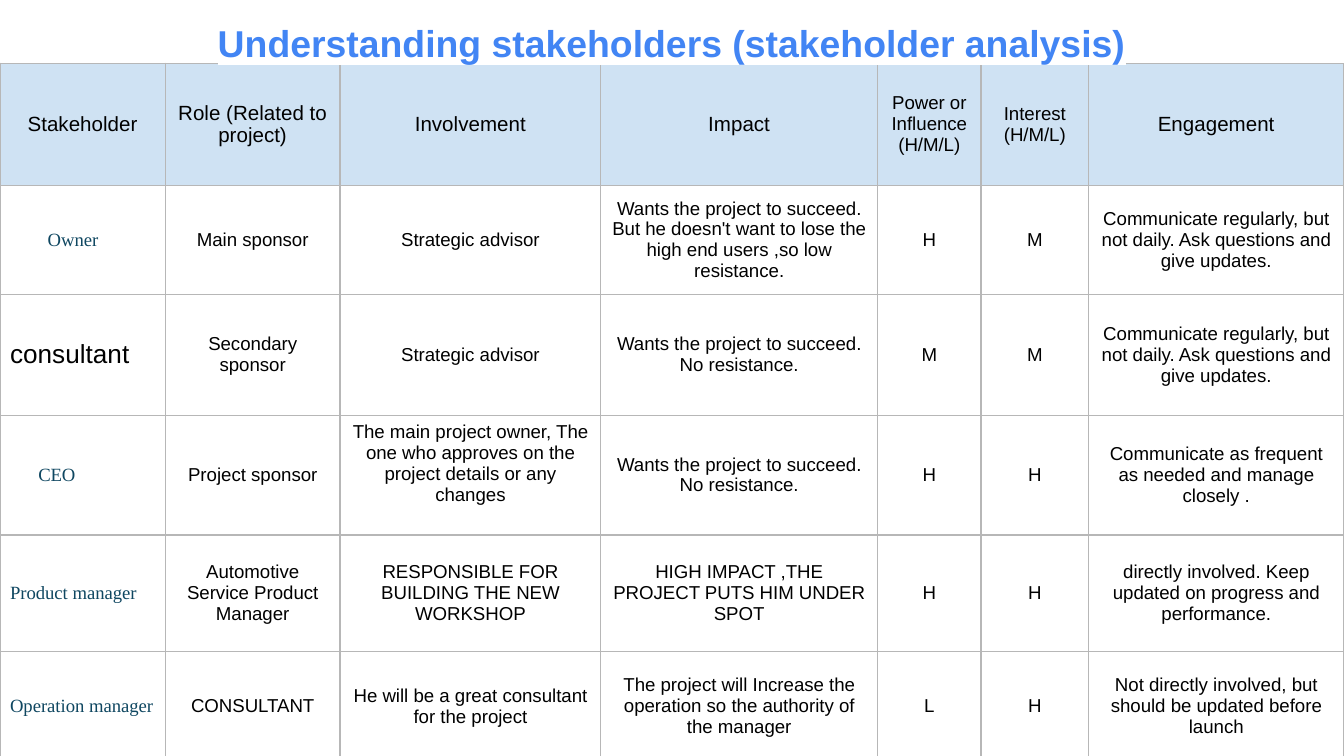
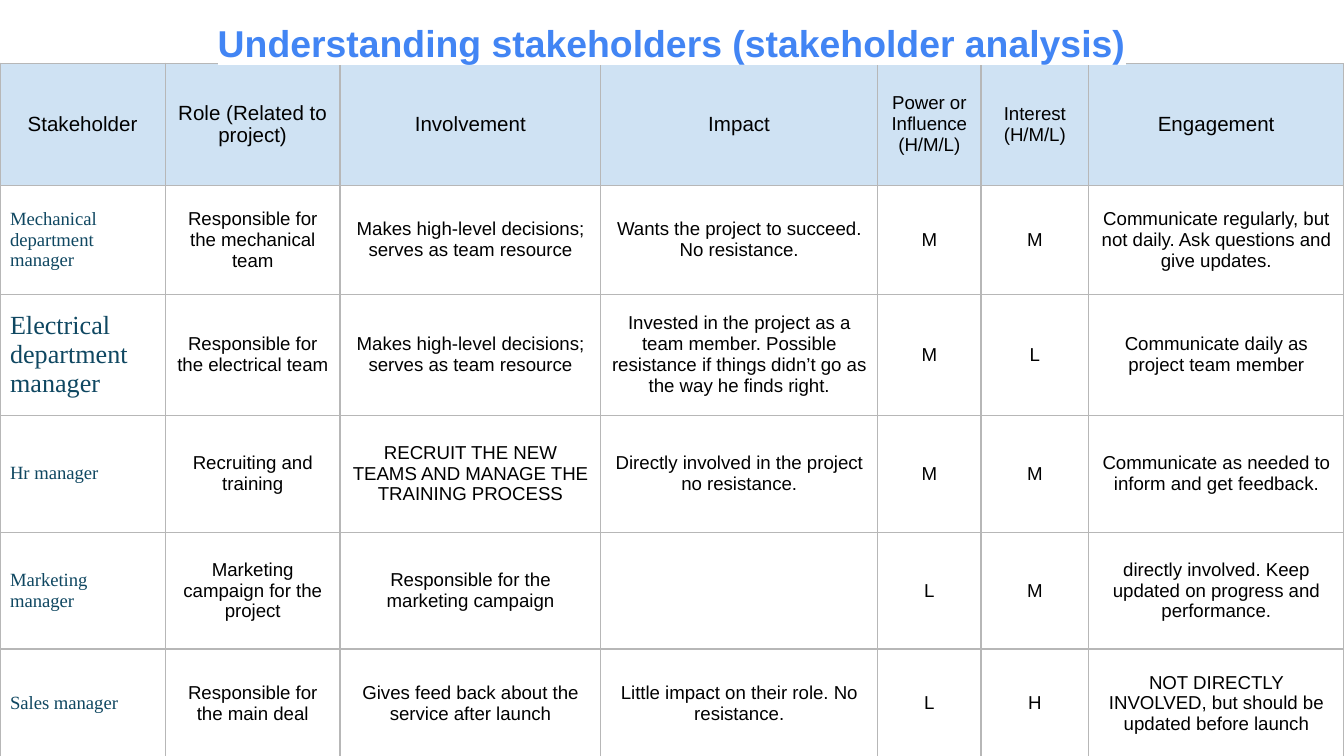
"""Build two slides of stakeholder analysis tables."""
from dataclasses import dataclass

from lxml import etree
from pptx import Presentation
from pptx.dml.color import RGBColor
from pptx.enum.text import MSO_ANCHOR, MSO_AUTO_SIZE, PP_ALIGN
from pptx.oxml.ns import qn
from pptx.util import Inches, Pt

LEFT, CENTER = PP_ALIGN.LEFT, PP_ALIGN.CENTER
TOP, MIDDLE = MSO_ANCHOR.TOP, MSO_ANCHOR.MIDDLE
GROW = MSO_AUTO_SIZE.SHAPE_TO_FIT_TEXT


@dataclass(frozen=True)
class Theme:
    title: str = "4285F4"
    paper: str = "FFFFFF"
    ink: str = "000000"
    name: str = "0F4761"
    header: str = "CFE2F3"
    border: str = "B7B7B7"
    sans: str = "Arial"
    serif: str = "Times New Roman"
    title_size: int = 20
    large_size: int = 14
    header_size: int = 11
    body_size: int = 10
    border_width: float = 0.75


THEME = Theme()
SLIDE_WIDTH = Inches(10)
SLIDE_HEIGHT = SLIDE_WIDTH * 9 // 16
TITLE = "Understanding stakeholders (stakeholder analysis)"
HEADERS = ["Stakeholder", "Role (Related to project)", "Involvement", "Impact",
           "Power or Influence (H/M/L)", "Interest (H/M/L)", "Engagement"]
COLUMN_WIDTHS = [1.23, 1.3, 1.94, 2.06, 0.77, 0.8, 1.9]
ROW_HEIGHTS = [0.91, 0.81, 0.9, 0.87, 0.87, 0.81]
TABLE_TOP = 0.47
CELL_SIDE, CELL_EDGE = Pt(5.4), Inches(0.05)
RATING_COLUMNS = (4, 5)

SUCCEED = "Wants the project to succeed. No resistance."
REGULARLY = "Communicate regularly, but not daily. Ask questions and give updates."
DECISIONS = "Makes high-level decisions; serves as team resource"
INVOLVED = "directly involved. Keep updated on progress and performance."
OWNER_DUTY = ("The main project owner, The one who approves on the project "
              "details or any changes")

SLIDES = [
    [
        ("Owner", "Main sponsor", "Strategic advisor",
         "Wants the project to succeed. But he doesn't want to lose the high end "
         "users ,so low resistance.", "H", "M", REGULARLY),
        ("consultant", "Secondary sponsor", "Strategic advisor", SUCCEED,
         "M", "M", REGULARLY),
        ("CEO", "Project sponsor", OWNER_DUTY, SUCCEED, "H", "H",
         "Communicate as frequent as needed and manage closely ."),
        ("Product manager", "Automotive Service Product Manager",
         "RESPONSIBLE FOR BUILDING THE NEW WORKSHOP",
         "HIGH IMPACT ,THE PROJECT PUTS HIM UNDER SPOT", "H", "H", INVOLVED),
        ("Operation manager", "CONSULTANT",
         "He will be a great consultant for the project",
         "The project will Increase the operation so the authority of the manager",
         "L", "H", "Not directly involved, but should be updated before launch"),
    ],
    [
        ("Mechanical department manager", "Responsible for the mechanical team",
         DECISIONS, SUCCEED, "M", "M", REGULARLY),
        ("Electrical department manager", "Responsible for the electrical team",
         DECISIONS,
         "Invested in the project as a team member. Possible resistance if things "
         "didn’t go as the way he finds right.", "M", "L",
         "Communicate daily as project team member"),
        ("Hr manager", "Recruiting and training",
         "RECRUIT THE NEW TEAMS AND MANAGE THE TRAINING PROCESS",
         "Directly involved in the project no resistance.", "M", "M",
         "Communicate as needed to inform and get feedback."),
        ("Marketing manager", "Marketing campaign for the project",
         "Responsible for the marketing campaign", "", "L", "M", INVOLVED),
        ("Sales manager", "Responsible for the main deal",
         "Gives feed back about the service after launch",
         "Little impact on their role. No resistance.", "L", "H",
         "NOT DIRECTLY INVOLVED, but should be updated before launch"),
    ],
]

NAME_FORMAT = dict(font=THEME.serif, color=THEME.name, align=LEFT)
SPECIAL_FORMATS = {
    "consultant": dict(font=THEME.sans, color=THEME.ink, size=THEME.large_size),
    "Electrical department manager": dict(size=THEME.large_size),
}
NAME_INDENTS = {"Owner": 0.28, "CEO": 0.21}
EXTRA_BOTTOMS = {OWNER_DUTY: 0.17}


def write(frame, text, size=THEME.body_size, font=THEME.sans, color=THEME.ink,
          align=CENTER, bold=False, spacing=None, highlight=None):
    """Put one formatted paragraph into a text frame."""
    paragraph = frame.paragraphs[0]
    paragraph.alignment = align
    if spacing:
        paragraph.line_spacing = spacing
    run = paragraph.add_run()
    run.text = text
    run.font.size = Pt(size)
    run.font.bold = bold
    run.font.color.rgb = RGBColor.from_string(color)
    run.font.name = font
    if highlight:
        mark = etree.Element(qn("a:highlight"))
        etree.SubElement(mark, qn("a:srgbClr"), val=highlight)
        run.font._element.find(qn("a:solidFill")).addnext(mark)


def add_borders(cell):
    """Draw a thin line on all four sides of a cell."""
    properties = cell._tc.get_or_add_tcPr()
    for side in ("a:lnL", "a:lnR", "a:lnT", "a:lnB"):
        line = etree.SubElement(properties, qn(side), w=str(Pt(THEME.border_width)))
        fill = etree.SubElement(line, qn("a:solidFill"))
        etree.SubElement(fill, qn("a:srgbClr"), val=THEME.border)


def fill_cell(cell, text, row, column):
    """Lay out, paint and write one table cell."""
    add_borders(cell)
    cell.vertical_anchor = MIDDLE
    cell.margin_left = CELL_SIDE + Inches(NAME_INDENTS.get(text, 0))
    cell.margin_right = CELL_SIDE
    cell.margin_top = CELL_EDGE
    cell.margin_bottom = CELL_EDGE + Inches(EXTRA_BOTTOMS.get(text, 0))
    style = {}
    if row == 0:
        cell.fill.solid()
        cell.fill.fore_color.rgb = RGBColor.from_string(THEME.header)
        if column not in RATING_COLUMNS:
            style = dict(size=THEME.header_size)
    else:
        cell.fill.background()
        if column == 0:
            style = {**NAME_FORMAT, **SPECIAL_FORMATS.get(text, {})}
    if text:
        write(cell.text_frame, text, **style)


def add_analysis(slide, stakeholders):
    """Add the stakeholder table under the title."""
    rows = [HEADERS, *stakeholders]
    table = slide.shapes.add_table(
        len(rows), len(HEADERS), 0, Inches(TABLE_TOP),
        Inches(sum(COLUMN_WIDTHS)), Inches(sum(ROW_HEIGHTS))).table
    table.first_row = table.horz_banding = False
    for column, width in zip(table.columns, COLUMN_WIDTHS):
        column.width = Inches(width)
    for row, height in zip(table.rows, ROW_HEIGHTS):
        row.height = Inches(height)
    for r, texts in enumerate(rows):
        for c, text in enumerate(texts):
            fill_cell(table.cell(r, c), text, r, c)


def place_title(slide):
    """Format the title and bring it in front of the table."""
    title = slide.shapes.title
    title.left, title.top = 0, 0
    title.width, title.height = SLIDE_WIDTH, Inches(0.54)
    frame = title.text_frame
    frame.word_wrap = True
    frame.auto_size = GROW
    frame.vertical_anchor = TOP
    frame.margin_left = frame.margin_right = Inches(0.1)
    frame.margin_top = frame.margin_bottom = Inches(0.1)
    write(frame, TITLE, size=THEME.title_size, color=THEME.title, bold=True,
          spacing=1.15, highlight=THEME.paper)
    slide.shapes.element.append(title.element)


def main():
    """Build and save the presentation."""
    deck = Presentation()
    deck.slide_width, deck.slide_height = SLIDE_WIDTH, SLIDE_HEIGHT
    title_only = deck.slide_layouts[5]
    for stakeholders in SLIDES:
        slide = deck.slides.add_slide(title_only)
        add_analysis(slide, stakeholders)
        place_title(slide)
    deck.save("out.pptx")


if __name__ == "__main__":
    main()
